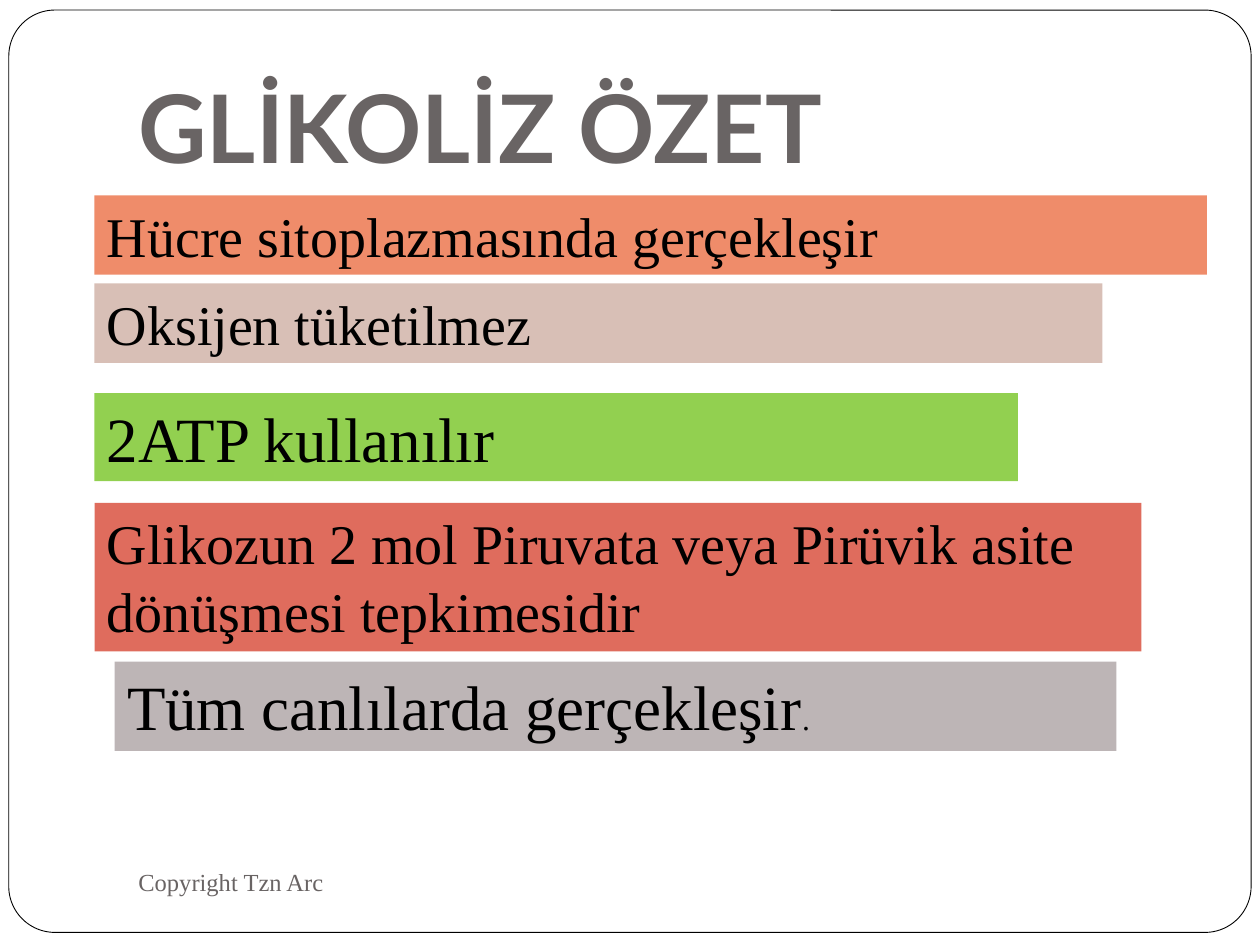
import pptx
import pptx.util
from pptx.dml.color import RGBColor
from pptx.enum.shapes import MSO_SHAPE
from pptx.enum.text import MSO_ANCHOR, PP_ALIGN
from pptx.util import Inches

WHITE = RGBColor(0xFF, 0xFF, 0xFF)
BLACK = RGBColor(0x00, 0x00, 0x00)
GRAY = RGBColor(0x69, 0x64, 0x64)
ORANGE = RGBColor(0xEF, 0x8C, 0x6A)
BEIGE = RGBColor(0xD8, 0xBF, 0xB6)
GREEN = RGBColor(0x92, 0xD0, 0x50)
RED = RGBColor(0xDF, 0x6C, 0x5D)
MAUVE = RGBColor(0xBD, 0xB5, 0xB6)


def add_text(p, text, size, color=BLACK, font="Times New Roman", bold=False):
    p.alignment = PP_ALIGN.LEFT
    r = p.add_run()
    r.text = text
    r.font.size = pptx.util.Pt(size)
    r.font.name = font
    r.font.bold = bold
    r.font.color.rgb = color


def add_box(shape, left, top, width, height, fill):
    sp = s.shapes.add_shape(shape, Inches(left), Inches(top), Inches(width), Inches(height))
    sp.shadow.inherit = False
    sp.fill.solid()
    sp.fill.fore_color.rgb = fill
    sp.line.fill.background()
    return sp


prs = pptx.Presentation()
prs.slide_width = Inches(10)
prs.slide_height = Inches(7.5)
s = prs.slides.add_slide(prs.slide_layouts[6])

frame = add_box(MSO_SHAPE.ROUNDED_RECTANGLE, 0.07, 0.08, 9.86, 7.32, WHITE)
frame.adjustments[0] = 0.05
frame.line.color.rgb = BLACK
frame.line.width = pptx.util.Pt(0.5)

title = s.shapes.add_textbox(Inches(1), Inches(0.3), Inches(8.5), Inches(1.25))
tf = title.text_frame
tf.word_wrap = True
tf.vertical_anchor = MSO_ANCHOR.BOTTOM
tf.margin_bottom = Inches(0.1)
add_text(tf.paragraphs[0], "GLİKOLİZ ÖZET", 54, color=GRAY, font="Lato", bold=True)

# Left, top, width, height, fill, text, size
bars = [
    (0.75, 1.55, 8.83, 0.63, ORANGE, "Hücre sitoplazmasında gerçekleşir", 32),
    (0.75, 2.25, 8, 0.63, BEIGE, "Oksijen tüketilmez", 32),
    (0.75, 3.12, 7.33, 0.7, GREEN, "2ATP kullanılır", 36),
    (0.75, 3.99, 8.31, 1.18, RED,
     "Glikozun 2 mol Piruvata veya Pirüvik asite dönüşmesi tepkimesidir", 32),
    (0.91, 5.25, 7.95, 0.71, MAUVE, "Tüm canlılarda gerçekleşir", 36),
]
for left, top, width, height, fill, text, size in bars:
    bar = add_box(MSO_SHAPE.RECTANGLE, left, top, width, height, fill)
    tf = bar.text_frame
    tf.word_wrap = True
    tf.vertical_anchor = MSO_ANCHOR.TOP
    add_text(tf.paragraphs[0], text, size)
# The last bar ends in a smaller full stop
add_text(tf.paragraphs[0], ".", 18)

footer = s.shapes.add_textbox(Inches(1), Inches(6.75), Inches(4.33), Inches(0.5))
tf = footer.text_frame
tf.word_wrap = True
tf.vertical_anchor = MSO_ANCHOR.MIDDLE
add_text(tf.paragraphs[0], "Copyright Tzn Arc", 14, color=GRAY)

prs.save("out.pptx")
